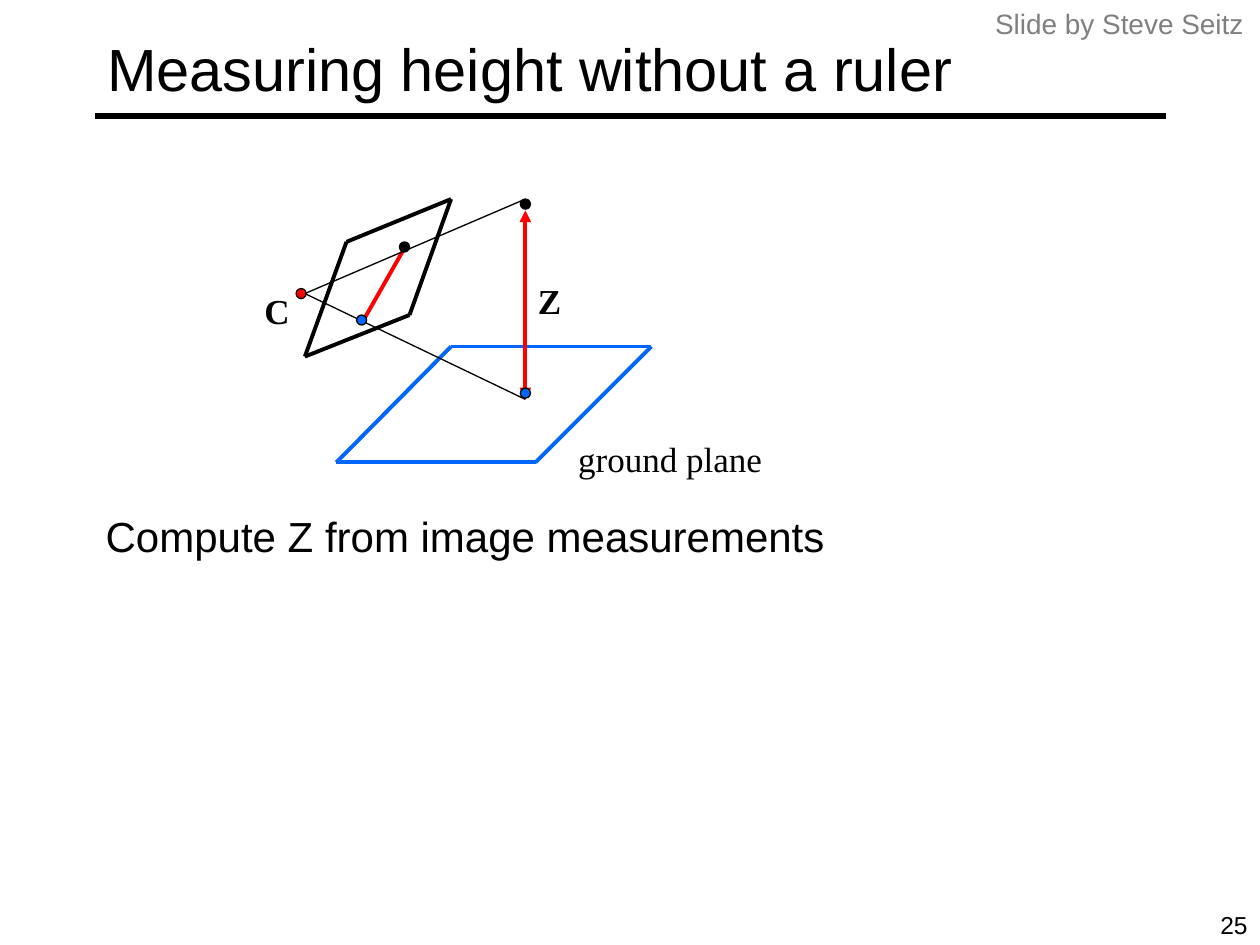
from lxml import etree
from pptx import Presentation
from pptx import util as u
from pptx.dml.color import RGBColor
from pptx.enum import shapes, text
from pptx.oxml.ns import qn

BLACK = RGBColor(0x00, 0x00, 0x00)
RED = RGBColor(0xFF, 0x00, 0x00)
BLUE = RGBColor(0x00, 0x66, 0xFF)
GRAY = RGBColor(0x80, 0x80, 0x80)
SANS, SERIF = "Arial", "Times New Roman"
DOT = 0.08


def add_run(p, words, size, font, color=BLACK, bold=False):
    r = p.add_run()
    r.text = words
    r.font.size, r.font.name, r.font.bold = u.Pt(size), font, bold
    r.font.color.rgb = color


def add_label(s, box, words, size, font, color=BLACK, bold=False, wrap=False,
              align=text.PP_ALIGN.LEFT):
    tf = s.shapes.add_textbox(*map(u.Inches, box)).text_frame
    tf.word_wrap = wrap
    p = tf.paragraphs[0]
    p.alignment = align
    add_run(p, words, size, font, color, bold)
    return p


def add_line(parent, start, end, color=BLACK, width=2.25, arrows=False):
    sp = parent.shapes.add_connector(shapes.MSO_CONNECTOR.STRAIGHT,
                                     *map(u.Inches, (*start, *end)))
    sp.line.color.rgb = color
    sp.line.width = u.Pt(width)
    if arrows:
        ln = sp.line._get_or_add_ln()
        for tag in ("a:headEnd", "a:tailEnd"):
            etree.SubElement(ln, qn(tag), type="triangle")
    etree.SubElement(sp._element.spPr, qn("a:effectLst"))


def add_plane(s, corners, color):
    """Outline a plane with one grouped line per side."""
    group = s.shapes.add_group_shape()
    for start, end in zip(corners, corners[1:] + corners[:1]):
        add_line(group, start, end, color)


def add_dot(s, center, color):
    x, y = center
    sp = s.shapes.add_shape(shapes.MSO_SHAPE.OVAL,
                            *map(u.Inches, (x - DOT / 2, y - DOT / 2, DOT, DOT)))
    sp.shadow.inherit = False
    sp.fill.solid()
    sp.fill.fore_color.rgb = color
    sp.line.color.rgb = BLACK
    sp.line.width = u.Pt(0.75)


def add_title(s, words):
    sp = s.shapes.title
    sp.left, sp.top, sp.width, sp.height = map(u.Inches, (0.75, 0.08, 8.5, 0.92))
    tf = sp.text_frame
    tf.vertical_anchor = text.MSO_ANCHOR.MIDDLE
    p = tf.paragraphs[0]
    p.alignment = text.PP_ALIGN.LEFT
    add_run(p, words, 34, SANS)


def main():
    prs = Presentation()
    prs.slide_width, prs.slide_height = u.Inches(10), u.Inches(7.5)
    s = prs.slides.add_slide(prs.slide_layouts[5])

    # Heading with its rule
    add_line(s, (0.75, 0.92), (9.25, 0.92), width=3)
    add_title(s, "Measuring height without a ruler")

    # Ground plane, image plane and the height seen in the image
    add_line(s, (2.88, 2.55), (3.21, 1.97), RED)
    add_plane(s, [(2.67, 3.67), (4.25, 3.67), (5.17, 2.75), (3.58, 2.75)], BLUE)
    add_plane(s, [(2.42, 2.83), (3.25, 2.5), (3.58, 1.58), (2.75, 1.92)], BLACK)

    # Rays from the camera and the height Z
    for end in ((4.17, 1.58), (4.17, 3.17)):
        add_line(s, (2.42, 2.33), end, width=0.75)
    add_line(s, (4.17, 3.17), (4.17, 1.67), RED, arrows=True)

    # Camera centre, then top and base points in the scene and the image
    for center, color in (((2.39, 2.33), RED),
                          ((4.17, 1.62), BLACK), ((4.17, 3.12), BLUE),
                          ((3.21, 1.96), BLACK), ((2.87, 2.54), BLUE)):
        add_dot(s, center, color)

    # Diagram labels
    add_label(s, (2, 2.25, 0.4, 0.43), "C", 20, SERIF, bold=True)
    add_label(s, (4.17, 2.17, 0.39, 0.43), "Z", 20, SERIF, bold=True)
    add_label(s, (4.49, 3.42, 1.66, 0.43), "ground plane", 20, SERIF)

    # Body text with a hanging indent
    p = add_label(s, (0.74, 4, 9.01, 3.08), "Compute Z from image measurements",
                  24, SANS, wrap=True)
    pPr = p._p.get_or_add_pPr()
    pPr.set("marL", str(u.Inches(0.38)))
    pPr.set("indent", str(u.Inches(-0.38)))

    # Credit and slide number
    add_label(s, (7.8, 0, 2.2, 0.37), "Slide by Steve Seitz", 16, SANS, GRAY)
    add_label(s, (9.33, 7.17, 0.67, 0.33), "25", 14, SANS, wrap=True,
              align=text.PP_ALIGN.RIGHT)

    prs.save("out.pptx")


if __name__ == "__main__":
    main()
